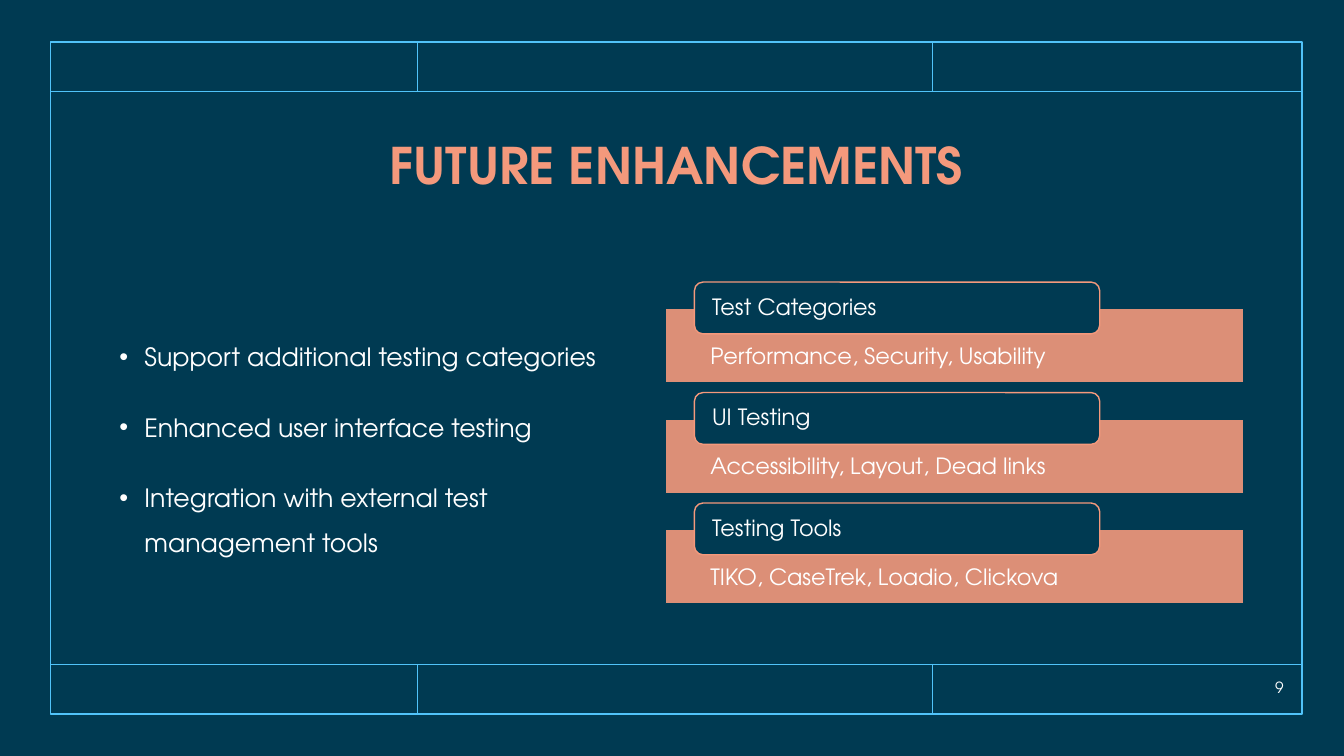
from lxml import etree
from pptx import Presentation
from pptx.dml.color import RGBColor
from pptx.enum.shapes import MSO_CONNECTOR, MSO_SHAPE
from pptx.enum.text import MSO_ANCHOR, MSO_AUTO_SIZE, PP_ALIGN
from pptx.oxml.ns import qn
from pptx.util import Pt

NAVY = RGBColor(0x00, 0x3A, 0x52)
SKY = RGBColor(0x51, 0xC3, 0xF9)
CORAL = RGBColor(0xF4, 0x99, 0x7C)
WHITE = RGBColor(0xFF, 0xFF, 0xFF)
FONT = "TeX Gyre Adventor"

STRAIGHT = MSO_CONNECTOR.STRAIGHT
RECT, ROUNDED = MSO_SHAPE.RECTANGLE, MSO_SHAPE.ROUNDED_RECTANGLE
TOP, MIDDLE = MSO_ANCHOR.TOP, MSO_ANCHOR.MIDDLE
LEFT, CENTER, RIGHT = PP_ALIGN.LEFT, PP_ALIGN.CENTER, PP_ALIGN.RIGHT
NO_FIT = MSO_AUTO_SIZE.NONE

FRAME_LEFT, FRAME_TOP, FRAME_RIGHT, FRAME_BOTTOM = 36, 30, 930, 510
HEADER_Y, FOOTER_Y = 65.5, 474.5
COLUMN_XS = (298.2, 666)

PANEL_LEFT, PANEL_TOP, PANEL_STEP = 475.5, 220.5, 78.9
TAB_SHIFT_X, TAB_SHIFT_Y = 20.5, -19

GOALS = (
    "Support additional testing categories",
    "Enhanced user interface testing",
    "Integration with external test management tools",
)
AREAS = (
    ("Test Categories", "Performance, Security, Usability"),
    ("UI Testing", "Accessibility, Layout, Dead links"),
    ("Testing Tools", "TIKO, CaseTrek, Loadio, Clickova"),
)


def set_all(target, values):
    for name, value in values.items():
        setattr(target, name, value)


class SlideBuilder:
    def __init__(self, slide):
        self.slide = slide
        self.shapes = slide.shapes
        background = slide.background.fill
        background.solid()
        background.fore_color.rgb = NAVY

    def text(self, holder, lines, size, color=WHITE, bold=False, anchor=MIDDLE,
             margins=(7.2, 3.6, 7.2, 3.6), **paragraph_format):
        """Fill the holder with one paragraph per line."""
        frame = holder.text_frame
        left, top, right, bottom = map(Pt, margins)
        set_all(frame, {
            "word_wrap": True, "auto_size": NO_FIT, "vertical_anchor": anchor,
            "margin_left": left, "margin_top": top,
            "margin_right": right, "margin_bottom": bottom,
        })
        frame.text = "\n".join(lines)
        for paragraph in frame.paragraphs:
            set_all(paragraph, {"alignment": LEFT, "space_before": Pt(0),
                                "line_spacing": 0.9, **paragraph_format})
            font = paragraph.runs[0].font
            set_all(font, {"name": FONT, "size": Pt(size), "bold": bold})
            font.color.rgb = color

    def place(self, holder, left, top, width, height):
        set_all(holder, {"left": Pt(left), "top": Pt(top),
                         "width": Pt(width), "height": Pt(height)})

    def title(self, box, line):
        heading = self.shapes.title
        self.place(heading, *box)
        self.text(heading, [line], 36, CORAL, bold=True, alignment=CENTER)

    def bullets(self, box, lines):
        body = self.slide.placeholders[1]
        self.place(body, *box)
        self.text(body, lines, 18, line_spacing=1.5, space_before=Pt(18))
        for paragraph in body.text_frame.paragraphs:
            properties = paragraph._p.get_or_add_pPr()
            properties.set("marL", str(Pt(18)))
            properties.set("indent", str(Pt(-18)))
            bullet_color = etree.SubElement(properties, qn("a:buClr"))
            etree.SubElement(bullet_color, qn("a:srgbClr"), val=str(WHITE))
            etree.SubElement(properties, qn("a:buFont"), typeface="Arial")
            etree.SubElement(properties, qn("a:buChar"), char="•")

    def box(self, kind, bounds, line, fill=None, opacity=100):
        shape = self.shapes.add_shape(kind, *map(Pt, bounds))
        shape.shadow.inherit = False
        shape.line.color.rgb = line
        shape.line.width = Pt(1)
        if fill is None:
            shape.fill.background()
            return shape
        shape.fill.solid()
        shape.fill.fore_color.rgb = fill
        if opacity < 100:
            color = shape._element.spPr.find(qn("a:solidFill"))[0]
            etree.SubElement(color, qn("a:alpha"), val=str(opacity * 1000))
        return shape

    def rule(self, *ends):
        connector = self.shapes.add_connector(STRAIGHT, *map(Pt, ends))
        connector.line.color.rgb = SKY
        connector.line.width = Pt(1)
        etree.SubElement(connector._element.spPr, qn("a:effectLst"))

    def label(self, bounds, line, size, **text_format):
        self.text(self.shapes.add_textbox(*map(Pt, bounds)), [line], size, **text_format)

    def frame(self):
        """Draw the border with its header and footer cells."""
        self.box(RECT, (FRAME_LEFT, FRAME_TOP, FRAME_RIGHT - FRAME_LEFT,
                        FRAME_BOTTOM - FRAME_TOP), SKY)
        for inner, outer in ((HEADER_Y, FRAME_TOP), (FOOTER_Y, FRAME_BOTTOM)):
            self.rule(FRAME_LEFT, inner, FRAME_RIGHT, inner)
            for x in COLUMN_XS:
                self.rule(x, inner, x, outer)

    def area(self, top, heading, details):
        """Draw a panel with a rounded heading tab over its upper edge."""
        panel = self.box(RECT, (PANEL_LEFT, top, 413, 53), NAVY, CORAL, 90)
        self.text(panel, [details], 16, anchor=TOP, margins=(32, 26, 32, 8.5))
        tab = self.box(ROUNDED, (PANEL_LEFT + TAB_SHIFT_X, top + TAB_SHIFT_Y, 289.5, 37),
                       CORAL, NAVY)
        self.text(tab, [heading], 16, margins=(10.8, 0, 10.8, 0))


def main():
    deck = Presentation()
    deck.slide_width, deck.slide_height = Pt(960), Pt(540)
    builder = SlideBuilder(deck.slides.add_slide(deck.slide_layouts[1]))
    builder.frame()
    builder.title((36, 65.5, 894, 109.5), "FUTURE ENHANCEMENTS")
    builder.bullets((78, 181.5, 366, 268.5), GOALS)
    for index, (heading, details) in enumerate(AREAS):
        builder.area(PANEL_TOP + index * PANEL_STEP, heading, details)
    builder.label((857.5, 480, 66.5, 21.5), "9", 11, alignment=RIGHT, line_spacing=1.0)
    deck.save("out.pptx")


if __name__ == "__main__":
    main()
